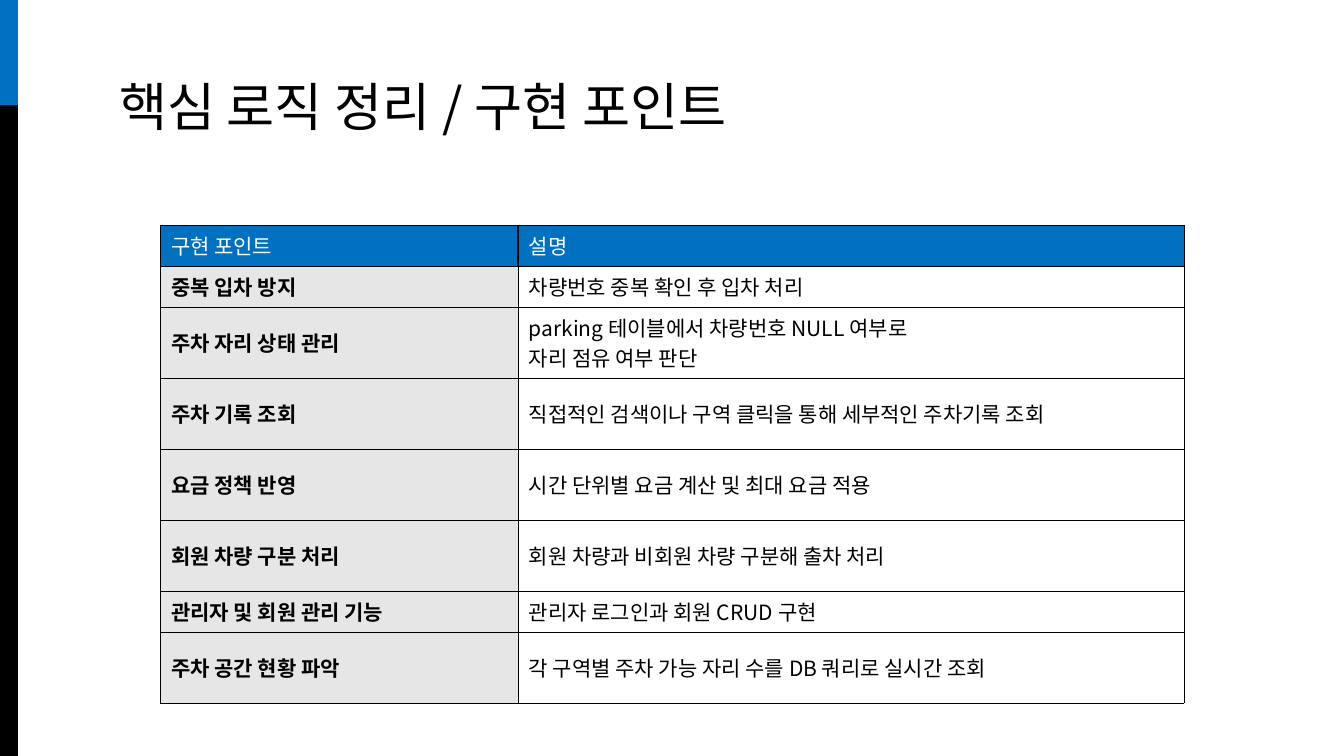
import dataclasses

import pptx
import pptx.dml.color
import pptx.enum.shapes
import pptx.enum.text
import pptx.oxml
import pptx.oxml.ns
import pptx.util
from lxml import etree

PX = 914400 / 100.8
qn = pptx.oxml.ns.qn
rgb = pptx.dml.color.RGBColor.from_string


@dataclasses.dataclass(frozen=True)
class Theme:
    font: str = "Noto Sans CJK KR"
    blue: str = "0070C0"
    black: str = "000000"
    white: str = "FFFFFF"
    grey: str = "E6E6E6"
    title_size: float = 37.3
    body_size: float = 15
    thin: float = 0.25
    divider: float = 1


THEME = Theme()
TITLE = "핵심 로직 정리 / 구현 포인트"
HEADER = ("구현 포인트", "설명")
SHORT, TALL = 41, 71
POINTS = [
    ("중복 입차 방지", "차량번호 중복 확인 후 입차 처리", SHORT),
    ("주차 자리 상태 관리",
     "parking 테이블에서 차량번호 NULL 여부로\n자리 점유 여부 판단", TALL),
    ("주차 기록 조회", "직접적인 검색이나 구역 클릭을 통해 세부적인 주차기록 조회", TALL),
    ("요금 정책 반영", "시간 단위별 요금 계산 및 최대 요금 적용", TALL),
    ("회원 차량 구분 처리", "회원 차량과 비회원 차량 구분해 출차 처리", TALL),
    ("관리자 및 회원 관리 기능", "관리자 로그인과 회원 CRUD 구현", SHORT),
    ("주차 공간 현황 파악", "각 구역별 주차 가능 자리 수를 DB 쿼리로 실시간 조회", TALL),
]


def px(n):
    return pptx.util.Emu(round(n * PX))


def style_text(tf, size, color, bold=False):
    for p in tf.paragraphs:
        p.font.size = pptx.util.Pt(size)
        p.font.bold = bold
        p.font.color.rgb = rgb(color)
        p.font.name = THEME.font
        latin = p._p.pPr.find(qn("a:defRPr")).find(qn("a:latin"))
        ea = etree.Element(qn("a:ea"), typeface=THEME.font)
        latin.addnext(ea)


def set_margins(target, x, y):
    target.margin_left = target.margin_right = px(x)
    target.margin_top = target.margin_bottom = px(y)


def set_borders(cell, widths):
    """Draw cell edges; widths are points for left, right, top and bottom."""
    tcPr = cell._tc.get_or_add_tcPr()
    for i, (side, width) in enumerate(zip("LRTB", widths)):
        ln = etree.Element(qn(f"a:ln{side}"), w=str(pptx.util.Pt(width)))
        fill = etree.SubElement(ln, qn("a:solidFill"))
        etree.SubElement(fill, qn("a:srgbClr"), val=THEME.black)
        tcPr.insert(i, ln)


def add_side_strip(s, x, y, w, h):
    accent = 105
    for top, height, color in ((y + accent, h - accent, THEME.black),
                               (y, accent, THEME.blue)):
        bar = s.shapes.add_shape(pptx.enum.shapes.MSO_SHAPE.RECTANGLE,
                                 px(x), px(top), px(w), px(height))
        bar.shadow.inherit = False
        bar.fill.solid()
        bar.fill.fore_color.rgb = rgb(color)
        bar.line.fill.background()


def place_title(s, x, y, w, h):
    sp = s.shapes.title
    sp.left, sp.top, sp.width, sp.height = px(x), px(y), px(w), px(h)
    tf = sp.text_frame
    tf.text = TITLE
    tf.word_wrap = True
    tf.auto_size = pptx.enum.text.MSO_AUTO_SIZE.NONE
    tf.vertical_anchor = pptx.enum.text.MSO_ANCHOR.BOTTOM
    set_margins(tf, 13, 13)
    p = tf.paragraphs[0]
    p.alignment = pptx.enum.text.PP_ALIGN.LEFT
    p.line_spacing = 0.9
    style_text(tf, THEME.title_size, THEME.black)


def fill_cell(cell, text, fill, color, bold, widths):
    cell.text = text
    cell.vertical_anchor = pptx.enum.text.MSO_ANCHOR.MIDDLE
    set_margins(cell, 11, 5)
    if fill:
        cell.fill.solid()
        cell.fill.fore_color.rgb = rgb(fill)
    else:
        cell.fill.background()
    style_text(cell.text_frame, THEME.body_size, color, bold)
    set_borders(cell, widths)


def add_points_table(s, x, y, w):
    heights = [SHORT] + [height for _, _, height in POINTS]
    table = s.shapes.add_table(len(heights), 2, px(x), px(y), px(w),
                               px(sum(heights))).table
    table.horz_banding = False
    label_width = 358
    table.columns[0].width = px(label_width)
    table.columns[1].width = px(w - label_width)
    for row, height in zip(table.rows, heights):
        row.height = px(height)

    thin, divider = THEME.thin, THEME.divider
    header_edges = ((thin, divider, thin, thin), (divider, thin, thin, thin))
    for c, text in enumerate(HEADER):
        fill_cell(table.cell(0, c), text, THEME.blue, THEME.white, False,
                  header_edges[c])
    for r, (label, description, _) in enumerate(POINTS, 1):
        fill_cell(table.cell(r, 0), label, THEME.grey, THEME.black, True,
                  [thin] * 4)
        fill_cell(table.cell(r, 1), description, None, THEME.black, False,
                  [thin] * 4)


def main():
    prs = pptx.Presentation()
    prs.slide_width, prs.slide_height = px(1344), px(756)
    s = prs.slides.add_slide(prs.slide_layouts.get_by_name("Title Only"))
    add_side_strip(s, 0, 0, 18, 756)
    place_title(s, 106, 66, 1132, 85)
    add_points_table(s, 160, 225, 1024)
    prs.save("out.pptx")


if __name__ == "__main__":
    main()
